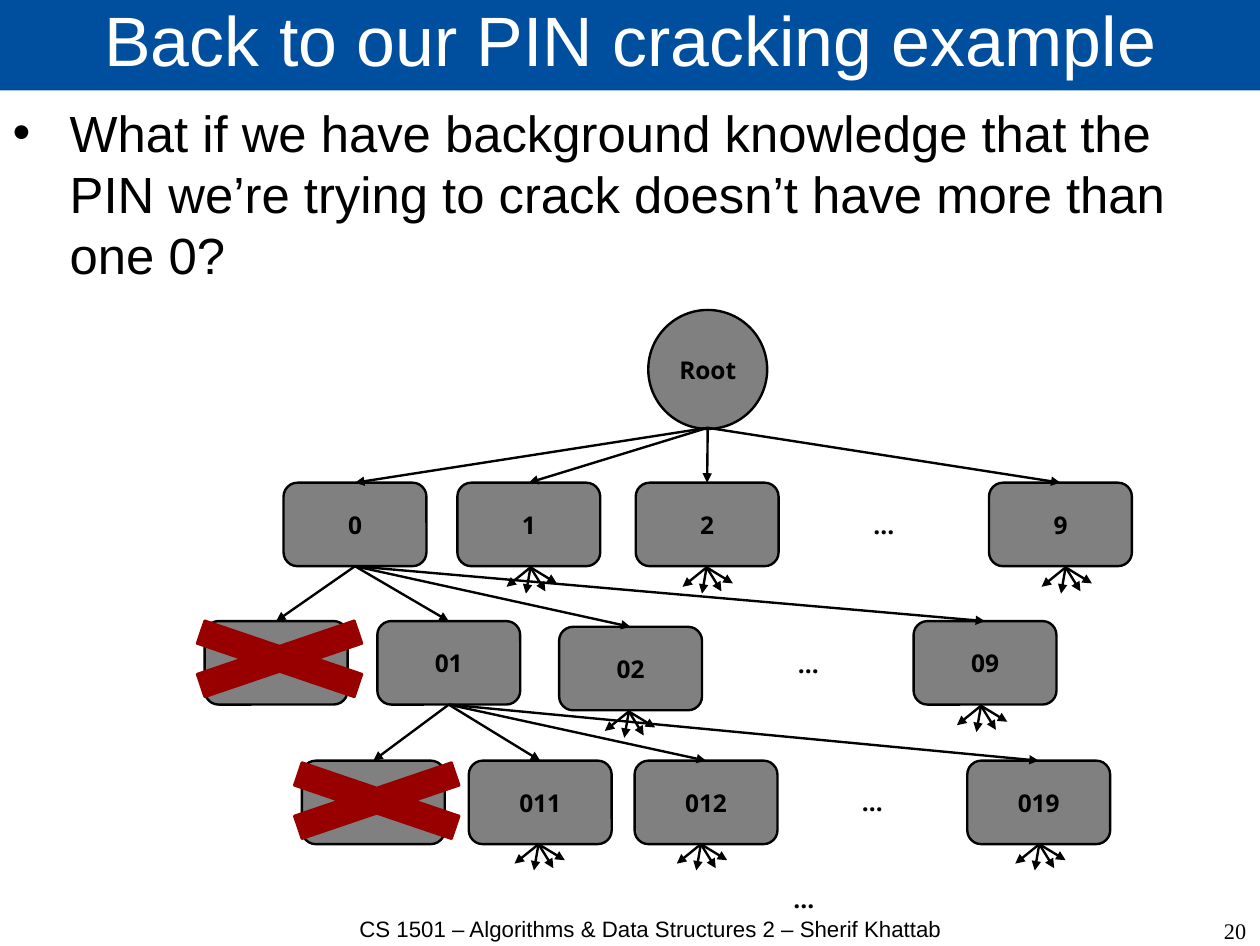
from lxml import etree
from pptx import Presentation
from pptx.dml.color import RGBColor
from pptx.enum import shapes, text
from pptx.oxml import ns
from pptx.util import Inches, Pt

COLORS = {"banner": "004F9E", "white": "FFFFFF", "black": "000000",
          "node": "808080", "cross": "980000"}
RGB = {name: RGBColor.from_string(value) for name, value in COLORS.items()}
NODE_W, NODE_H = 1.25, 0.73
SHAPE, ALIGN, ANCHOR = shapes.MSO_SHAPE, text.PP_ALIGN, text.MSO_ANCHOR

prs = Presentation()
prs.slide_width, prs.slide_height = Inches(11.02), Inches(8.27)
s = prs.slides.add_slide(prs.slide_layouts[1])


def put_text(sp, words, size=15.4, font="Open Sans", bold=True, color="black",
             align=ALIGN.CENTER, anchor=ANCHOR.MIDDLE, inset=0.11):
    tf = sp.text_frame
    tf.text = words
    tf.word_wrap = True
    tf.auto_size = text.MSO_AUTO_SIZE.NONE
    tf.vertical_anchor = anchor
    tf.margin_left = tf.margin_right = Inches(inset)
    tf.margin_top = tf.margin_bottom = Inches(inset)
    p = tf.paragraphs[0]
    p.alignment = align
    p.space_before = Pt(0)
    f = p.runs[0].font
    f.size, f.name, f.bold, f.color.rgb = Pt(size), font, bold, RGB[color]
    return p


def add_arrow(x1, y1, x2, y2):
    c = s.shapes.add_connector(shapes.MSO_CONNECTOR.STRAIGHT,
                               Inches(x1), Inches(y1), Inches(x2), Inches(y2))
    c.line.color.rgb, c.line.width = RGB["black"], Pt(1.5)
    etree.SubElement(c.line._get_or_add_ln(), ns.qn("a:tailEnd"), type="triangle")
    etree.SubElement(c._element.spPr, ns.qn("a:effectLst"))
    return c


# Title and question
title = s.shapes.title
title.left, title.top = Inches(0), Inches(-0.02)
title.width, title.height = Inches(11.04), Inches(0.81)
title.fill.solid()
title.fill.fore_color.rgb = RGB["banner"]
p = put_text(title, "Back to our PIN cracking example", 44, "Arial", False,
             "white", anchor=ANCHOR.BOTTOM)
p.line_spacing = 0.69

body = s.placeholders[1]
body.left, body.top = Inches(0), Inches(0.78)
body.width, body.height = Inches(11.04), Inches(7.23)
p = put_text(body, "What if we have background knowledge that the PIN we’re trying "
             "to crack doesn’t have more than one 0?", 32, "Arial", False,
             align=ALIGN.LEFT, anchor=ANCHOR.TOP)
p.space_after = Pt(14.3)
pPr = p._p.get_or_add_pPr()
pPr.set("marL", str(Inches(0.5)))
pPr.set("indent", str(Inches(-0.5)))

# Search tree: parent, then (label, left, top) of its children
tree = [
    ("Root", [("0", 2.48, 4.22), ("1", 4.0, 4.22), ("2", 5.56, 4.22), ("9", 8.65, 4.22)]),
    ("0", [("00", 1.79, 5.43), ("01", 3.3, 5.43), ("02", 4.89, 5.48), ("09", 7.99, 5.43)]),
    ("01", [("010", 2.64, 6.65), ("011", 4.1, 6.65), ("012", 5.55, 6.65),
            ("019", 8.46, 6.65)]),
]
root = s.shapes.add_shape(SHAPE.OVAL, Inches(5.67), Inches(2.71), Inches(1.04), Inches(1.04))
put_text(root, "Root")
nodes = {"Root": root}
for parent, children in tree:
    for label, left, top in children:
        sp = s.shapes.add_shape(SHAPE.ROUNDED_RECTANGLE, Inches(left), Inches(top),
                                Inches(NODE_W), Inches(NODE_H))
        put_text(sp, label)
        nodes[label] = sp
        c = add_arrow(6.19, 3.74, left + NODE_W / 2, top)
        if parent != "Root":
            c.begin_connect(nodes[parent], 2)
        c.end_connect(sp, 0)
for sp in nodes.values():
    sp.shadow.inherit = False
    sp.fill.solid()
    sp.fill.fore_color.rgb = RGB["node"]
    sp.line.color.rgb, sp.line.width = RGB["black"], Pt(1.5)

# Omitted branches
for left, top in [(7.29, 4.35), (6.63, 5.56), (7.19, 6.77), (6.59, 7.62)]:
    dots = s.shapes.add_textbox(Inches(left), Inches(top), Inches(0.88), Inches(0.48))
    put_text(dots, "...")

# Short arrows fanning out below unexpanded nodes
fans = [(4.64, 4.96), (6.18, 4.96), (9.32, 4.96), (5.5, 6.22), (8.58, 6.17),
        (4.71, 7.38), (6.13, 7.38), (9.09, 7.38)]
for x, y in fans:
    for dx, dy in [(0.23, 0.14), (0.13, 0.21), (-0.04, 0.23), (-0.21, 0.17)]:
        add_arrow(x, y, x + dx, y + dy)

# Pruned nodes
for left, top in [(1.12, 5.31), (1.97, 6.55)]:
    cross = s.shapes.add_shape(SHAPE.MATH_MULTIPLY, Inches(left), Inches(top),
                               Inches(2.65), Inches(0.9))
    cross.adjustments[0] = 0.235
    cross.shadow.inherit = False
    cross.fill.solid()
    cross.fill.fore_color.rgb = RGB["cross"]
    cross.line.color.rgb, cross.line.width = RGB["cross"], Pt(1.5)

# Footer and slide number
footer = s.shapes.add_textbox(Inches(3.07), Inches(8.02), Inches(5.24), Inches(0.25))
p = put_text(footer, "CS 1501 – Algorithms & Data Structures 2 – Sherif Khattab",
             14, "Arial", False, anchor=ANCHOR.TOP, inset=0)
p.line_spacing = 0.96
number = s.shapes.add_textbox(Inches(8.48), Inches(7.86), Inches(2.53), Inches(0.55))
put_text(number, "20", 14, "Times New Roman", False, align=ALIGN.RIGHT)

prs.save("out.pptx")
